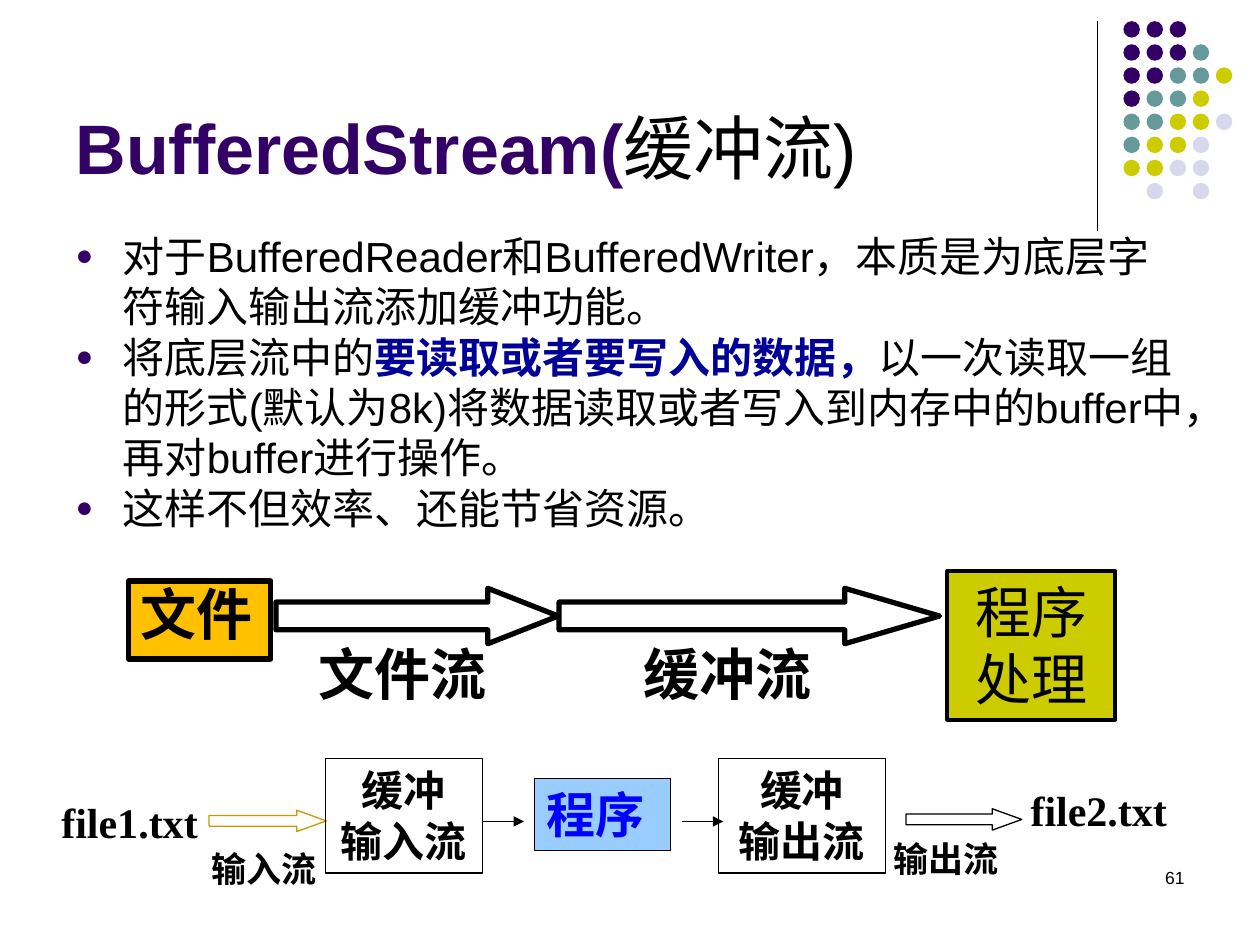
from pptx import Presentation
from pptx.util import Pt
from pptx.dml.color import RGBColor
from pptx.enum import shapes, text
from pptx.oxml import ns
from lxml import etree

COLORS = {"black": "000000", "white": "FFFFFF", "purple": "330066", "teal": "669999",
          "olive": "CCCC00", "pale": "D8D8EC", "navy": "000099", "orange": "FFC000",
          "gold": "CC9900", "sky": "99CCFF", "blue": "0000FF"}
RGB = {name: RGBColor.from_string(value) for name, value in COLORS.items()}
SHAPE, ALIGN = shapes.MSO_SHAPE, text.PP_ALIGN


def add_run(p, words, color="black", **font):
    r = p.add_run()
    r.text = words
    r.font.color.rgb = RGB[color]
    for key, value in font.items():
        setattr(r.font, key, value)


def add_shape(kind, left, top, width, height, fill=None, line=None, weight=0.75):
    sp = s.shapes.add_shape(kind, Pt(left), Pt(top), Pt(width), Pt(height))
    sp.shadow.inherit = False
    if fill:
        sp.fill.solid()
        sp.fill.fore_color.rgb = RGB[fill]
    else:
        sp.fill.background()
    if line:
        sp.line.color.rgb = RGB[line]
        sp.line.width = Pt(weight)
    else:
        sp.line.fill.background()
    return sp


prs = Presentation()
prs.slide_width, prs.slide_height = Pt(720), Pt(540)
s = prs.slides.add_slide(prs.slide_layouts[1])

# Corner ornament: one letter per dot
DOTS = ["PPP", "PPPT", "PPTTY", "PTTY", "TTYYL", "TYYL", "YYLL", " L L"]
DOT_COLORS = {"P": "purple", "T": "teal", "Y": "olive", "L": "pale"}
for row, dots in enumerate(DOTS):
    for col, dot in enumerate(dots):
        if dot in DOT_COLORS:
            add_shape(SHAPE.OVAL, 642 + 13.2 * col, 12.1 + 13.2 * row, 9.4, 9.4,
                      DOT_COLORS[dot])

# Title
title = s.shapes.title
title.left, title.top, title.width, title.height = Pt(36), Pt(9.4), Pt(594), Pt(102)
tf = title.text_frame
tf.vertical_anchor = text.MSO_ANCHOR.BOTTOM
p = tf.paragraphs[0]
p.alignment = ALIGN.LEFT
add_run(p, "BufferedStream(", "purple", size=Pt(40), name="Arial", bold=True)
add_run(p, "缓冲流)", size=Pt(40), name="Arial", bold=False)

# Bulleted list
BULLETS = [
    [("对于BufferedReader和BufferedWriter，本质是为底层字符输入输出流添加缓冲功能。", "black")],
    [("将底层流中的", "black"), ("要读取或者要写入的数据，", "navy"),
     ("以一次读取一组的形式(默认为8k)将数据读取或者写入到内存中的buffer中，再对buffer进行操作。", "black")],
    [("这样不但效率、还能节省资源。", "black")],
]
body = s.placeholders[1]
body.left, body.top, body.width, body.height = Pt(36), Pt(128), Pt(648), Pt(354)
tf = body.text_frame
for i, parts in enumerate(BULLETS):
    p = tf.paragraphs[0] if i == 0 else tf.add_paragraph()
    p.space_before = Pt(0)
    pPr = p._p.get_or_add_pPr()
    pPr.set("marL", str(Pt(27)))
    pPr.set("indent", str(Pt(-27)))
    color = etree.SubElement(pPr, ns.qn("a:buClr"))
    etree.SubElement(color, ns.qn("a:srgbClr"), val=COLORS["purple"])
    etree.SubElement(pPr, ns.qn("a:buSzPct"), val="70000")
    etree.SubElement(pPr, ns.qn("a:buFont"), typeface="Arial")
    etree.SubElement(pPr, ns.qn("a:buChar"), char="●")
    for words, color in parts:
        add_run(p, words, color, size=Pt(24), name="Arial", bold=color == "navy")

# Block arrows: left, top, width, height, head ratio, fill, line, weight
ARROWS = [
    (157.7, 336.2, 161.3, 31.7, 1.27, None, "black", 3),
    (319.5, 336.2, 217.4, 31.7, 1.71, None, "black", 3),
    (119.5, 463, 67, 12.2, 1.39, "white", "gold", 0.75),
    (517.7, 462.2, 66.2, 12.2, 1.38, "white", "black", 0.75),
]
for left, top, width, height, head, fill, line, weight in ARROWS:
    sp = add_shape(SHAPE.RIGHT_ARROW, left, top, width, height, fill, line, weight)
    sp.adjustments[0], sp.adjustments[1] = 0.5, head

# Boxes and labels: lines, position, fill, line weight, then what differs from BASE
BASE = {"size": 24, "name": "Times New Roman", "bold": True, "color": "black",
        "align": ALIGN.LEFT, "wrap": True, "tight": False}
STREAM = {"size": 32, "wrap": False, "tight": True}
CAPTION = {"size": 20, "wrap": False}
CENTER = {"align": ALIGN.CENTER}
BOXES = [
    (["文件"], (73.4, 332, 81.4, 44.6), "orange", 3, STREAM),
    (["文件流"], (175, 366.5, 118.8, 41.8), None, 0, STREAM),
    (["缓冲流"], (360.7, 366.5, 119.5, 42.5), None, 0, STREAM),
    (["程序处理"], (541.4, 326.2, 95.8, 85), "olive", 2.25,
     {"size": 32, "bold": False, **CENTER}),
    (["file1.txt"], (28, 451.4, 95.8, 36.7), None, 0, {}),
    (["file2.txt"], (581.8, 445, 92.2, 36), None, 0, {}),
    (["输入流"], (113.8, 481, 74.2, 31), "white", 0, CAPTION),
    (["输出流"], (503.3, 475.2, 74.2, 31), "white", 0, CAPTION),
    (["缓冲", "输入流"], (185.8, 433.4, 90, 65.5), None, 0.75, CENTER),
    (["缓冲", "输出流"], (410.4, 433.4, 95.8, 65.5), "white", 0.75, CENTER),
    (["程序"], (305.3, 445, 77.8, 41), "sky", 0.75,
     {"size": 28, "name": "Arial", "color": "blue"}),
    (["61"], (516.2, 491.8, 167.8, 36), None, 0,
     {"size": 10, "name": "Arial", "bold": False, "align": ALIGN.RIGHT}),
]
for lines, place, fill, weight, changes in BOXES:
    style = {**BASE, **changes}
    sp = add_shape(SHAPE.RECTANGLE, *place, fill, "black" if weight else None, weight)
    tf = sp.text_frame
    tf.word_wrap = style["wrap"]
    tf.vertical_anchor = text.MSO_ANCHOR.TOP
    for i, words in enumerate(lines):
        p = tf.paragraphs[0] if i == 0 else tf.add_paragraph()
        p.alignment = style["align"]
        if style["tight"]:
            p.line_spacing, p.space_before = 0.9, Pt(6.4)
        add_run(p, words, style["color"], size=Pt(style["size"]),
                name=style["name"], bold=style["bold"])

# Title rule and thin arrows: x1, y1, x2, y2, arrowhead
LINES = [(627, 12.2, 627, 131.8, False),
         (275.8, 469.4, 299.5, 469.4, True),
         (389.5, 469.4, 413.3, 469.4, True)]
for x1, y1, x2, y2, arrowhead in LINES:
    line = s.shapes.add_connector(shapes.MSO_CONNECTOR.STRAIGHT,
                                  Pt(x1), Pt(y1), Pt(x2), Pt(y2))
    line.line.color.rgb = RGB["black"]
    line.line.width = Pt(0.75)
    if arrowhead:
        etree.SubElement(line.line._get_or_add_ln(), ns.qn("a:tailEnd"), type="triangle")
    etree.SubElement(line._element.spPr, ns.qn("a:effectLst"))

prs.save("out.pptx")
